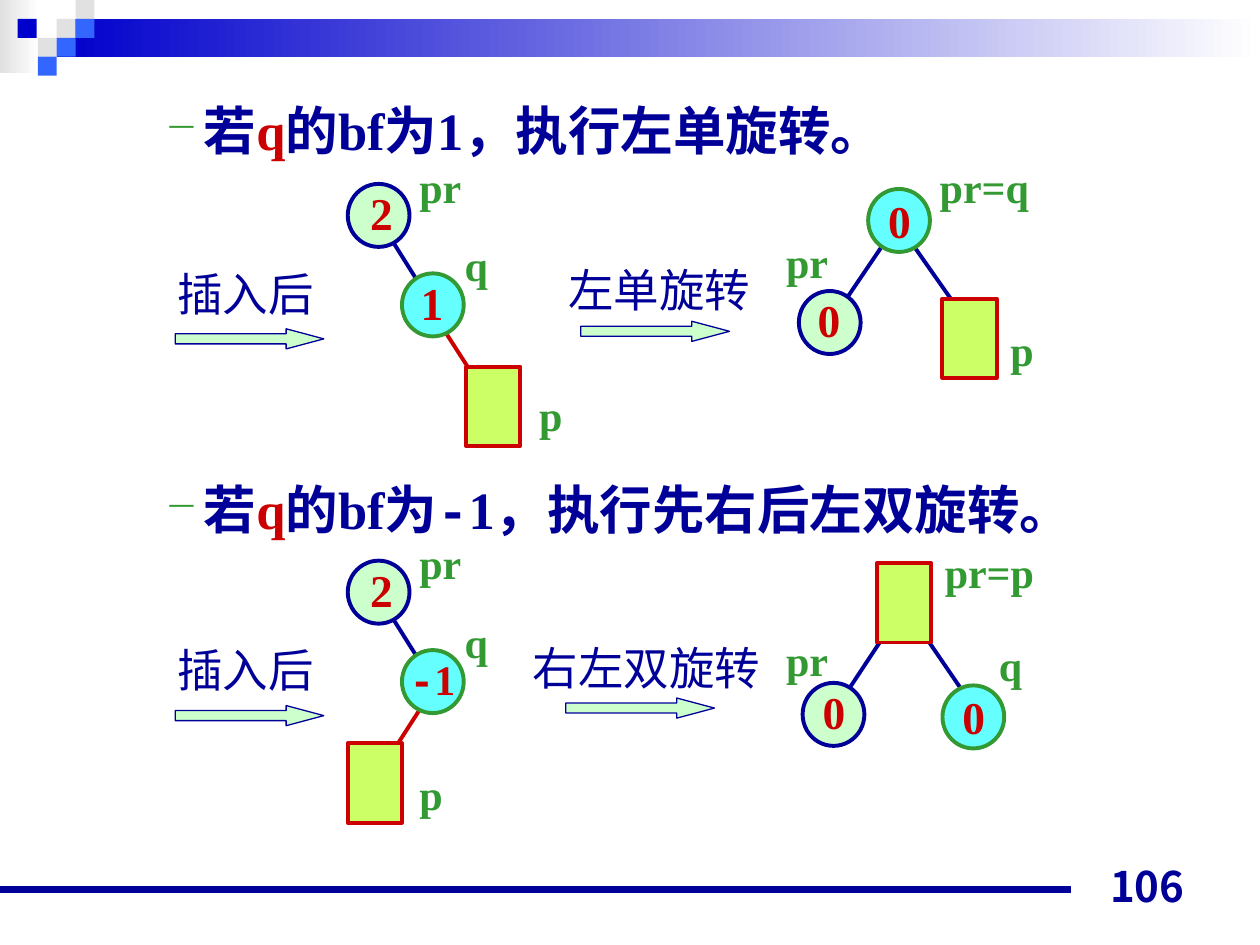
from lxml.etree import SubElement
from pptx import Presentation
from pptx.dml.color import RGBColor
from pptx.enum.shapes import MSO_CONNECTOR, MSO_SHAPE
from pptx.enum.text import MSO_ANCHOR, PP_ALIGN
from pptx.oxml.ns import qn
from pptx.util import Emu, Pt

PX = 9144  # 100 px to the inch
NAVY, RED, GREEN, CYAN = "000099", "CC0000", "339933", "66FFFF"
MINT, LIME, GREY, BLUE, DEEP_BLUE = "CCFFCC", "CCFF66", "E1E1E1", "3366FF", "0000CC"
SERIF, MONO, SANS = "Times New Roman", "Courier New", "Arial"

BANNER = [((0, 0, 31, 58), GREY), ((45, 15, 955, 30), DEEP_BLUE)]
TILES = [(45, 15, GREY), (60, 0, GREY), (60, 15, BLUE), (30, 30, GREY),
         (14, 15, DEEP_BLUE), (45, 30, BLUE), (30, 45, BLUE)]

NODE_STYLES = {  # shape, width, height, fill, line
    "pr": (MSO_SHAPE.OVAL, 49, 50, MINT, NAVY),
    "q": (MSO_SHAPE.OVAL, 49, 50, CYAN, GREEN),
    "p": (MSO_SHAPE.RECTANGLE, 43, 63, LIME, RED),
}
LABEL_WIDTHS = {"pr": 60, "pr=q": 100, "pr=p": 100, "-1": 66}

# Positions inside a case count from that case's top.
# Edges: x1, y1, x2, y2, colour. Nodes, values and names: text, x, y.
INSERTED = {
    "edges": [(305, 181, 342, 240, NAVY)],
    "nodes": [("pr", 276, 146), ("q", 319, 217)],
    "values": [("2", 284, 142)],
    "names": [("q", 359, 185), ("pr", 323, 123)],
}
CASES = [
    {
        "top": 0,
        "heading_top": 68,
        "heading": [("若", NAVY), ("q", RED), ("的bf为1，执行左单旋转。", NAVY)],
        "steps": [("插入后", 131, 206, 139, 261), ("左单旋转", 441, 203, 461, 255)],
        "trees": [
            INSERTED,
            {
                "edges": [(346, 252, 384, 311, RED)],
                "nodes": [("p", 370, 291)],
                "values": [("1", 324, 213)],
                "names": [("p", 418, 304)],
            },
            {
                "edges": [(703, 191, 663, 250, NAVY), (718, 185, 758, 242, NAVY)],
                "nodes": [("q", 689, 150), ("pr", 634, 231), ("p", 748, 237)],
                "values": [("0", 695, 148), ("0", 639, 227)],
                "names": [("pr", 614, 183), ("p", 792, 253), ("pr=q", 736, 123)],
            },
        ],
    },
    {
        "top": 299,
        "heading_top": 369,
        "heading": [("若", NAVY), ("q", RED), ("的bf为-1，执行先右后左双旋转。", NAVY)],
        "steps": [("插入后", 131, 206, 139, 261), ("右左双旋转", 413, 204, 449, 255)],
        "trees": [
            INSERTED,
            {
                "edges": [(341, 252, 303, 311, RED)],
                "nodes": [("p", 276, 291)],
                "values": [("-1", 315, 215)],
                "names": [("p", 323, 306)],
            },
            {
                "edges": [(710, 193, 671, 252, NAVY), (726, 194, 765, 251, NAVY)],
                "nodes": [("q", 748, 245), ("pr", 637, 243), ("p", 696, 148)],
                "values": [("0", 754, 243), ("0", 643, 239)],
                "names": [("pr", 614, 200), ("q", 783, 204), ("pr=p", 740, 130)],
            },
        ],
    },
]


def px(*lengths):
    return [Emu(length * PX) for length in lengths]


def rgb(color):
    return RGBColor.from_string(color)


def add_shape(shapes, kind, box, fill=None, line=None, weight=2.25):
    shape = shapes.add_shape(kind, *px(*box))
    shape.shadow.inherit = False
    if fill:
        shape.fill.solid()
        shape.fill.fore_color.rgb = rgb(fill)
    if line:
        shape.line.color.rgb = rgb(line)
        shape.line.width = Pt(weight)
    else:
        shape.line.fill.background()
    return shape


def add_line(shapes, x1, y1, x2, y2, color, weight=2.25):
    line = shapes.add_connector(MSO_CONNECTOR.STRAIGHT, *px(x1, y1, x2, y2))
    line.line.color.rgb = rgb(color)
    line.line.width = Pt(weight)
    SubElement(line._element.spPr, qn("a:effectLst"))


def add_runs(paragraph, text, color, font):
    """Add the text, with a minus sign set in the monospaced font."""
    for piece in text.partition("-"):
        if piece:
            run = paragraph.add_run()
            run.text = piece
            run.font.name = MONO if piece == "-" else font
            run.font.color.rgb = rgb(color)


def add_label(shapes, text, x, y, width, size, color, font=SERIF):
    box = shapes.add_textbox(*px(x, y, width, 54 if size == 26 else 50))
    box.text_frame.word_wrap = True
    paragraph = box.text_frame.paragraphs[0]
    paragraph.font.size = Pt(size)
    paragraph.font.bold = font == SERIF
    add_runs(paragraph, text, color, font)


def add_heading(slide, top, parts):
    box = slide.shapes.add_textbox(*px(71, top, 861, 76))
    box.text_frame.word_wrap = True
    paragraph = box.text_frame.paragraphs[0]
    properties = paragraph._p.get_or_add_pPr()
    properties.set("marL", str(81 * PX))
    properties.set("indent", str(-31 * PX))
    bullet_color = SubElement(properties, qn("a:buClr"))
    SubElement(bullet_color, qn("a:srgbClr"), val=GREEN)
    SubElement(properties, qn("a:buSzPct"), val="80000")
    SubElement(properties, qn("a:buChar"), char="─")
    paragraph.line_spacing = 1.1
    paragraph.font.size = Pt(30)
    paragraph.font.bold = True
    for text, color in parts:
        add_runs(paragraph, text, color, SERIF)


def add_step(slide, top, text, x, y, arrow_x, arrow_y):
    arrow = add_shape(slide.shapes, MSO_SHAPE.RIGHT_ARROW,
                      (arrow_x, top + arrow_y, 118, 16), MINT, NAVY, 0.75)
    arrow.adjustments[1] = 1.87
    add_label(slide.shapes, text, x, top + y, 30 + 37 * len(text), 26, NAVY, SANS)


def add_trees(shapes, top, trees):
    """Draw every edge first, so that nodes and labels lie over them."""
    def layer(name):
        return [item for tree in trees for item in tree[name]]

    for x1, y1, x2, y2, color in layer("edges"):
        add_line(shapes, x1, top + y1, x2, top + y2, color)
    for name, x, y in layer("nodes"):
        kind, width, height, fill, line = NODE_STYLES[name]
        add_shape(shapes, kind, (x, top + y, width, height), fill, line)
    for text, x, y in layer("values"):
        size = 24 if text == "-1" else 26
        add_label(shapes, text, x, top + y, LABEL_WIDTHS.get(text, 40), size, RED)
    for text, x, y in layer("names"):
        add_label(shapes, text, x, top + y, LABEL_WIDTHS.get(text, 40), 24, GREEN)


def add_frame(slide):
    """Draw the banner, the bottom rule and the page number."""
    for box, color in BANNER:
        fill = add_shape(slide.shapes, MSO_SHAPE.RECTANGLE, box).fill
        fill.gradient()
        fill.gradient_angle = 0
        for stop, stop_color in zip(fill.gradient_stops, (color, "FFFFFF")):
            stop.color.rgb = rgb(stop_color)
    for x, y, color in TILES:
        add_shape(slide.shapes, MSO_SHAPE.RECTANGLE, (x, y, 15, 15), color)
    add_line(slide.shapes, 0, 706, 850, 706, NAVY, 4.5)
    frame = slide.shapes.add_textbox(*px(717, 678, 233, 50)).text_frame
    frame.word_wrap = True
    frame.vertical_anchor = MSO_ANCHOR.BOTTOM
    paragraph = frame.paragraphs[0]
    paragraph.alignment = PP_ALIGN.RIGHT
    paragraph.font.size = Pt(24)
    paragraph.font.bold = True
    add_runs(paragraph, "106", NAVY, "Noto Sans CJK JP")


def main():
    presentation = Presentation()
    presentation.slide_width, presentation.slide_height = px(1000, 750)
    slide = presentation.slides.add_slide(presentation.slide_layouts[6])
    add_frame(slide)
    for case in CASES:
        add_heading(slide, case["heading_top"], case["heading"])
        for step in case["steps"]:
            add_step(slide, case["top"], *step)
        add_trees(slide.shapes, case["top"], case["trees"])
    presentation.save("out.pptx")


if __name__ == "__main__":
    main()
